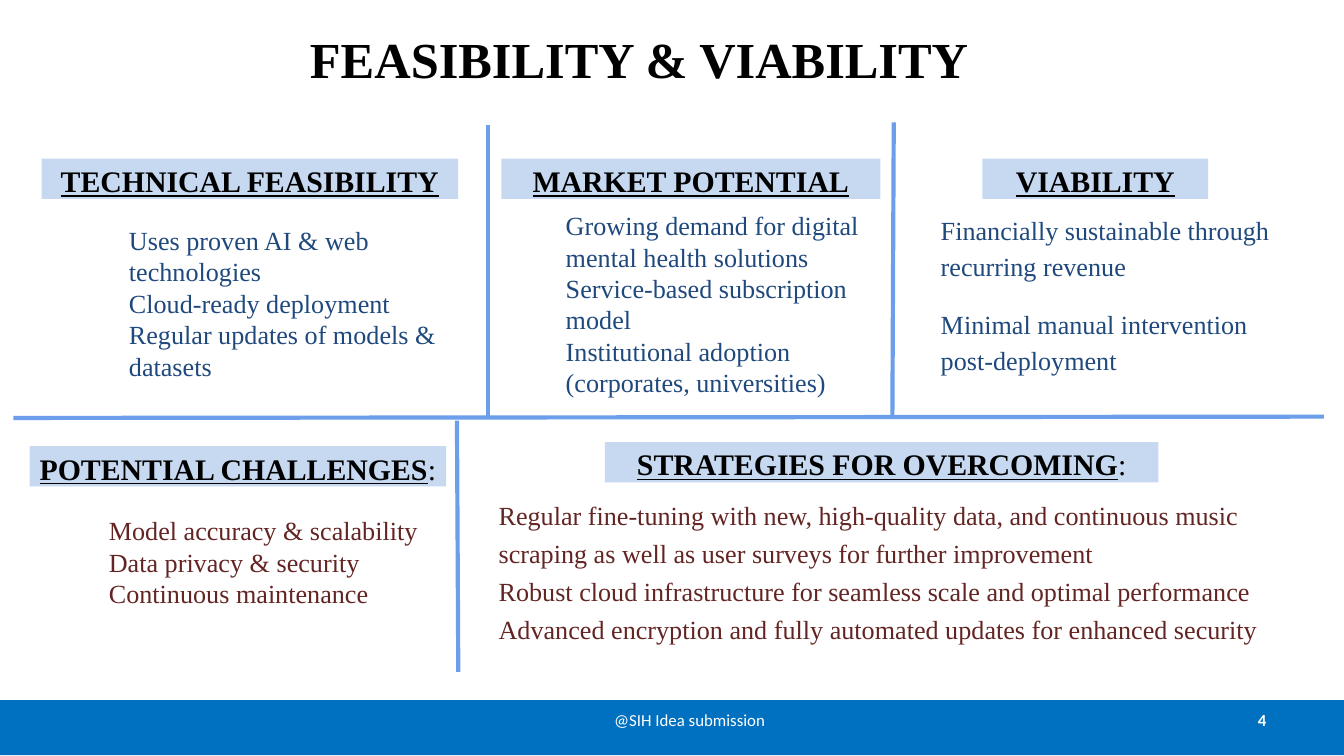
from dataclasses import dataclass

from lxml.etree import SubElement
from pptx import Presentation
from pptx.dml.color import RGBColor as Rgb
from pptx.enum.shapes import MSO_CONNECTOR as Conn, MSO_SHAPE as Kind
from pptx.enum.text import MSO_ANCHOR as Anchor, MSO_AUTO_SIZE as Fit, PP_ALIGN as Align
from pptx.oxml.ns import qn
from pptx.util import Inches, Pt


@dataclass(frozen=True)
class Theme:
    serif: str = "Times New Roman"
    sans: str = "Calibri"
    black: str = "000000"
    white: str = "FFFFFF"
    navy: str = "1F497D"
    wine: str = "632523"
    pale: str = "C6D9F1"
    rule: str = "6D9EEB"
    band: str = "0070C0"
    title: float = 27
    head: float = 16
    body: float = 14
    foot: float = 9


@dataclass(frozen=True)
class Box:
    x: float
    y: float
    w: float
    h: float

    def place(self) -> tuple:
        return tuple(Inches(v) for v in (self.x, self.y, self.w, self.h))


@dataclass(frozen=True)
class Head:
    text: str
    box: Box
    tail: str = ""


@dataclass(frozen=True)
class Note:
    box: Box
    color: str
    lines: tuple[str, ...]
    indent: float = 0
    space: float = 1
    gap: float = 0


@dataclass(frozen=True)
class Foot:
    text: str
    box: Box
    bold: bool = False


T = Theme()

HEADS = (
    Head("TECHNICAL FEASIBILITY", Box(0.31, 1.18, 3.1, 0.3)),
    Head("MARKET POTENTIAL", Box(3.73, 1.18, 2.82, 0.3)),
    Head("VIABILITY", Box(7.31, 1.18, 1.68, 0.3)),
    Head("POTENTIAL CHALLENGES", Box(0.22, 3.32, 3.1, 0.3), ":"),
    Head("STRATEGIES FOR OVERCOMING", Box(4.5, 3.29, 4.12, 0.3), ":"),
)

NOTES = (
    Note(Box(0.71, 1.66, 2.7, 1.42), T.navy, (
        "Uses proven AI & web technologies",
        "Cloud-ready deployment",
        "Regular updates of models & datasets"), indent=0.25),
    Note(Box(3.71, 1.55, 3.1, 1.66), T.navy, (
        "Growing demand for digital mental health solutions",
        "Service-based subscription model",
        "Institutional adoption (corporates, universities)"), indent=0.5),
    Note(Box(7, 1.55, 2.7, 1.94), T.navy, (
        "Financially sustainable through recurring revenue",
        "Minimal manual intervention post-deployment"), space=1.15, gap=12),
    Note(Box(0.31, 3.82, 2.92, 0.72), T.wine, (
        "Model accuracy & scalability",
        "Data privacy & security",
        "Continuous maintenance"), indent=0.5),
    Note(Box(3.71, 3.66, 5.91, 1.39), T.wine, (
        "Regular fine-tuning with new, high-quality data, and continuous music "
        "scraping as well as user surveys for further improvement",
        "Robust cloud infrastructure for seamless scale and optimal performance",
        "Advanced encryption and fully automated updates for enhanced security"),
        space=1.21),
)

FEET = (
    Foot("@SIH Idea submission", Box(4.57, 5.27, 1.14, 0.17)),
    Foot("4", Box(9.36, 5.27, 0.08, 0.17), True),
)

# Start and end of each divider
RULES = (
    ((0.1, 3.11), (9.85, 3.1)),
    ((3.63, 3.11), (3.63, 0.93)),
    ((6.64, 3.09), (6.65, 0.91)),
    ((3.41, 5), (3.4, 3.13)),
)


def style(font, face: str, size: float, color: str, bold: bool = False) -> None:
    font.name, font.size, font.bold = face, Pt(size), bold
    font.color.rgb = Rgb.from_string(color)


def frame(shape, top: float):
    text = shape.text_frame
    text.word_wrap, text.auto_size = True, Fit.NONE
    text.vertical_anchor = Anchor.TOP
    text.margin_left = text.margin_right = text.margin_bottom = 0
    text.margin_top = Inches(top)
    return text


def add_bar(slide, box: Box, color: str):
    bar = slide.shapes.add_shape(Kind.RECTANGLE, *box.place())
    bar.shadow.inherit = False
    bar.fill.solid()
    bar.fill.fore_color.rgb = Rgb.from_string(color)
    bar.line.fill.background()
    return bar


def add_title(slide, text: str, box: Box) -> None:
    title = slide.shapes.title
    title.left, title.top, title.width, title.height = box.place()
    para = frame(title, 0.18).paragraphs[0]
    para.text, para.alignment = text, Align.CENTER
    style(para.font, T.serif, T.title, T.black, True)


def add_head(slide, head: Head) -> None:
    para = frame(add_bar(slide, head.box, T.pale), 0.03).paragraphs[0]
    para.alignment = Align.CENTER
    style(para.font, T.serif, T.head, T.black)
    run = para.add_run()
    run.text = head.text
    style(run.font, T.serif, T.head, T.black, True)
    run.font.underline = True
    if head.tail:
        end = para.add_run()
        end.text = head.tail
        style(end.font, T.serif, T.head, T.black)


def add_note(slide, note: Note) -> None:
    text = frame(slide.shapes.add_textbox(*note.box.place()), 0.01)
    for i, line in enumerate(note.lines):
        para = text.add_paragraph() if i else text.paragraphs[0]
        para.text, para.line_spacing = line, note.space
        para.space_before = Pt(note.gap if i else 0)
        para._p.get_or_add_pPr().set("marL", str(Inches(note.indent)))
        style(para.font, T.serif, T.body, note.color)


def add_foot(slide, foot: Foot) -> None:
    text = frame(slide.shapes.add_textbox(*foot.box.place()), 0.01)
    para = text.paragraphs[0]
    para.text = foot.text
    style(para.font, T.sans, T.foot, T.white, foot.bold)


def add_rule(slide, start: tuple, end: tuple) -> None:
    ends = (Inches(v) for v in start + end)
    line = slide.shapes.add_connector(Conn.STRAIGHT, *ends)
    line.line.color.rgb = Rgb.from_string(T.rule)
    line.line.width = Pt(2.25)
    SubElement(line._element.spPr, qn("a:effectLst"))


def main() -> None:
    # Widescreen, 16 to 9
    deck = Presentation()
    deck.slide_width = Inches(10)
    deck.slide_height = Inches(10 * 9 / 16)
    slide = deck.slides.add_slide(deck.slide_layouts[5])

    # Footer band
    add_bar(slide, Box(0, 5.21, 10, 0.41), T.band)
    for foot in FEET:
        add_foot(slide, foot)

    # Title and five topics
    add_title(slide, "FEASIBILITY & VIABILITY", Box(1.44, 0.03, 6.63, 0.63))
    for note in NOTES:
        add_note(slide, note)
    for head in HEADS:
        add_head(slide, head)

    # Dividers
    for start, end in RULES:
        add_rule(slide, start, end)
    deck.save("out.pptx")


if __name__ == "__main__":
    main()
